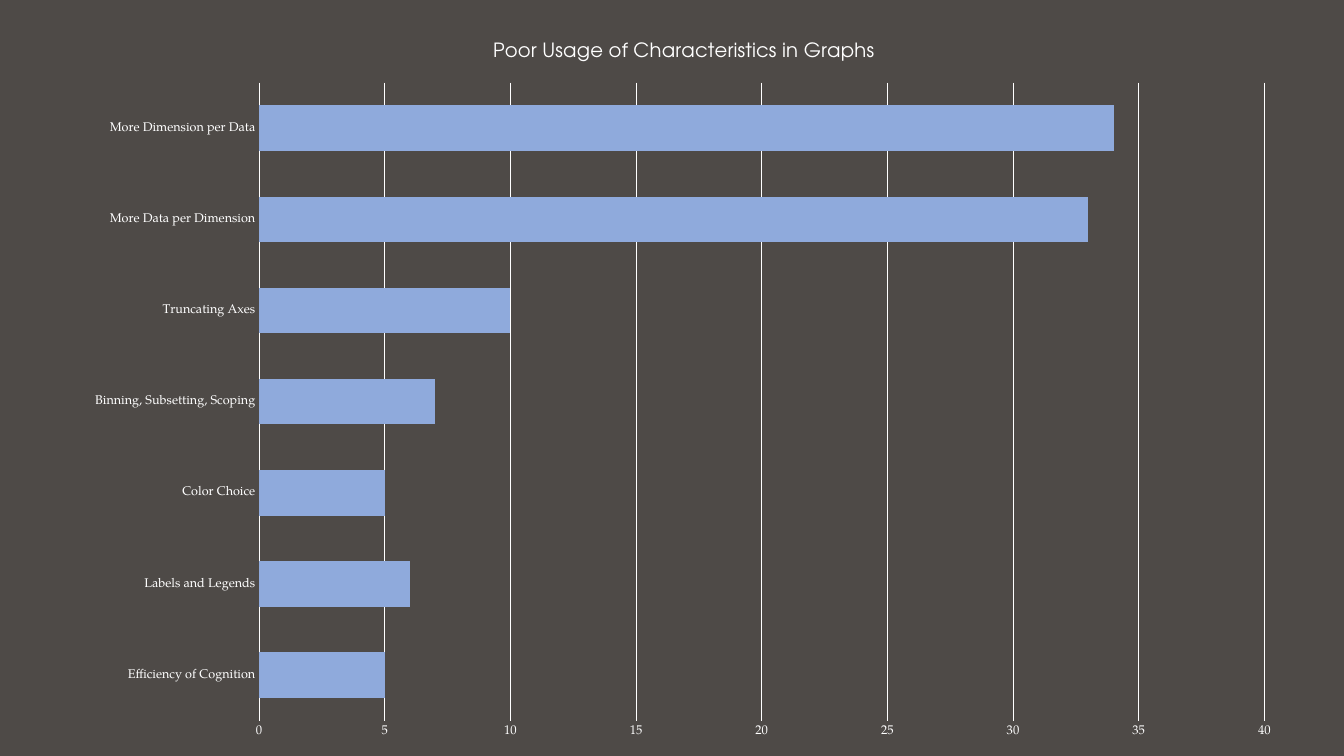
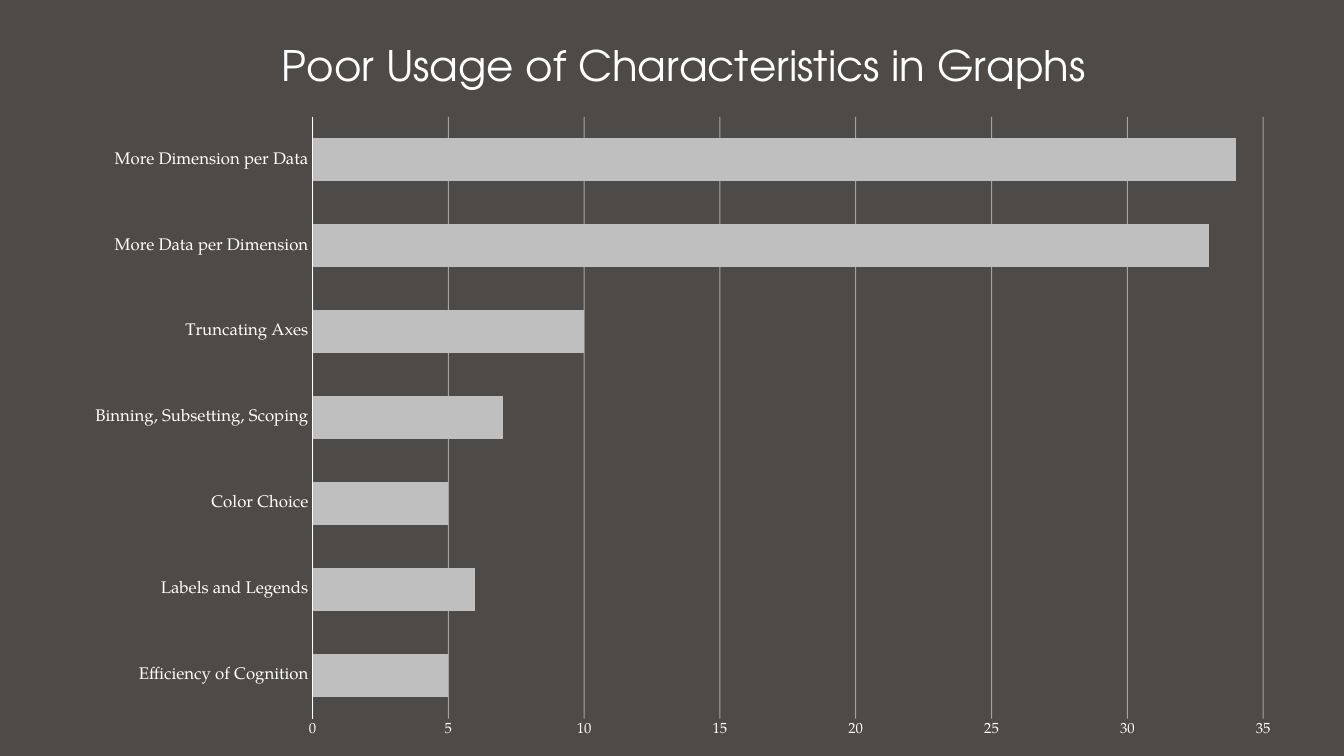
from dataclasses import dataclass

from pptx import Presentation
from pptx.chart.data import CategoryChartData
from pptx.dml.color import RGBColor
from pptx.enum.chart import XL_CHART_TYPE as CT, XL_TICK_MARK as TM
from pptx.oxml import parse_xml
from pptx.oxml.ns import nsdecls
from pptx.util import Inches, Pt


@dataclass(frozen=True)
class Theme:
    back: RGBColor = RGBColor.from_string("4E4A47")
    text: RGBColor = RGBColor.from_string("FFFFFF")
    blue: RGBColor = RGBColor.from_string("8FAADC")
    grey: RGBColor = RGBColor.from_string("BFBFBF")
    head: str = "TeX Gyre Adventor"
    body: str = "TeX Gyre Pagella"
    small: float = 9
    base: float = 10
    tick: float = 10.5
    label: float = 12
    title: float = 14
    big: float = 30
    line: float = 0.75


T = Theme()


def style_font(font, size, name=T.body, color=T.text):
    font.size = Pt(size)
    font.name = name
    font.bold = False
    font.color.rgb = color


def write(tf, text, **fmt):
    p = tf.paragraphs[0]
    r = p.add_run()
    r.text = text
    style_font(r.font, **fmt)


TITLE = "Poor Usage of Characteristics in Graphs"
COUNTS = {
    "Efficiency of Cognition": 5,
    "Labels and Legends": 6,
    "Color Choice": 5,
    "Binning, Subsetting, Scoping": 7,
    "Truncating Axes": 10,
    "More Data per Dimension": 33,
    "More Dimension per Data": 34,
}
LEFT, TOP, WIDTH, HEIGHT = (Inches(n) for n in (0.71, 0.17, 12.15, 7.29))
SLIDES = [
    dict(bar=T.blue, title=T.title, label=T.small, tick=T.small, top=40,
         alpha=100, plot=(2.57, 0.82, 9.97, 6.33)),
    dict(bar=T.grey, title=T.big, label=T.label, tick=T.tick, top=35,
         alpha=50, plot=(3.1, 1.16, 9.43, 5.97)),
]

prs = Presentation()
prs.slide_width, prs.slide_height = Inches(13.33), Inches(7.5)
fill = prs.slide_master.background.fill
fill.solid()
fill.fore_color.rgb = T.back

data = CategoryChartData()
data.categories = list(COUNTS)
data.add_series("Series 1", list(COUNTS.values()))

for look in SLIDES:
    s = prs.slides.add_slide(prs.slide_layouts[6])
    chart = s.shapes.add_chart(CT.BAR_CLUSTERED, LEFT, TOP, WIDTH, HEIGHT, data).chart
    style_font(chart.font, T.base)
    chart.has_legend = False
    chart.has_title = True
    chart.chart_title.include_in_layout = False
    write(chart.chart_title.text_frame, TITLE, size=look["title"], name=T.head)

    plot = chart.plots[0]
    plot.gap_width = 100
    plot.vary_by_categories = False
    bars = plot.series[0].format.fill
    bars.solid()
    bars.fore_color.rgb = look["bar"]

    cat, val = chart.category_axis, chart.value_axis
    for axis, size in ((cat, look["label"]), (val, look["tick"])):
        axis.major_tick_mark = axis.minor_tick_mark = TM.NONE
        style_font(axis.tick_labels.font, size)
    cat.has_major_gridlines = False
    val.has_major_gridlines = True
    val.minimum_scale, val.maximum_scale, val.major_unit = 0, look["top"], 5
    val.format.line.fill.background()
    for line in (cat.format.line, val.major_gridlines.format.line):
        line.color.rgb = T.text
        line.width = Pt(T.line)
    if look["alpha"] < 100:
        color = chart.element.xpath(".//c:majorGridlines//a:srgbClr")[0]
        color.append(parse_xml(f'<a:alpha {nsdecls("a")} val="{look["alpha"] * 1000}"/>'))

    x, y, w, h = (Inches(n) for n in look["plot"])
    parts = {"x": (x - LEFT) / WIDTH, "y": (y - TOP) / HEIGHT, "w": w / WIDTH, "h": h / HEIGHT}
    modes = "".join(f'<c:{k}Mode val="edge"/>' for k in "xy")
    sizes = "".join(f'<c:{k} val="{v:.4f}"/>' for k, v in parts.items())
    area = chart.element.xpath(".//c:plotArea")[0]
    for old in area.xpath("./c:layout"):
        area.remove(old)
    area.insert(0, parse_xml(
        f'<c:layout {nsdecls("c")}><c:manualLayout><c:layoutTarget val="inner"/>'
        f'{modes}{sizes}</c:manualLayout></c:layout>'))

prs.save("out.pptx")
